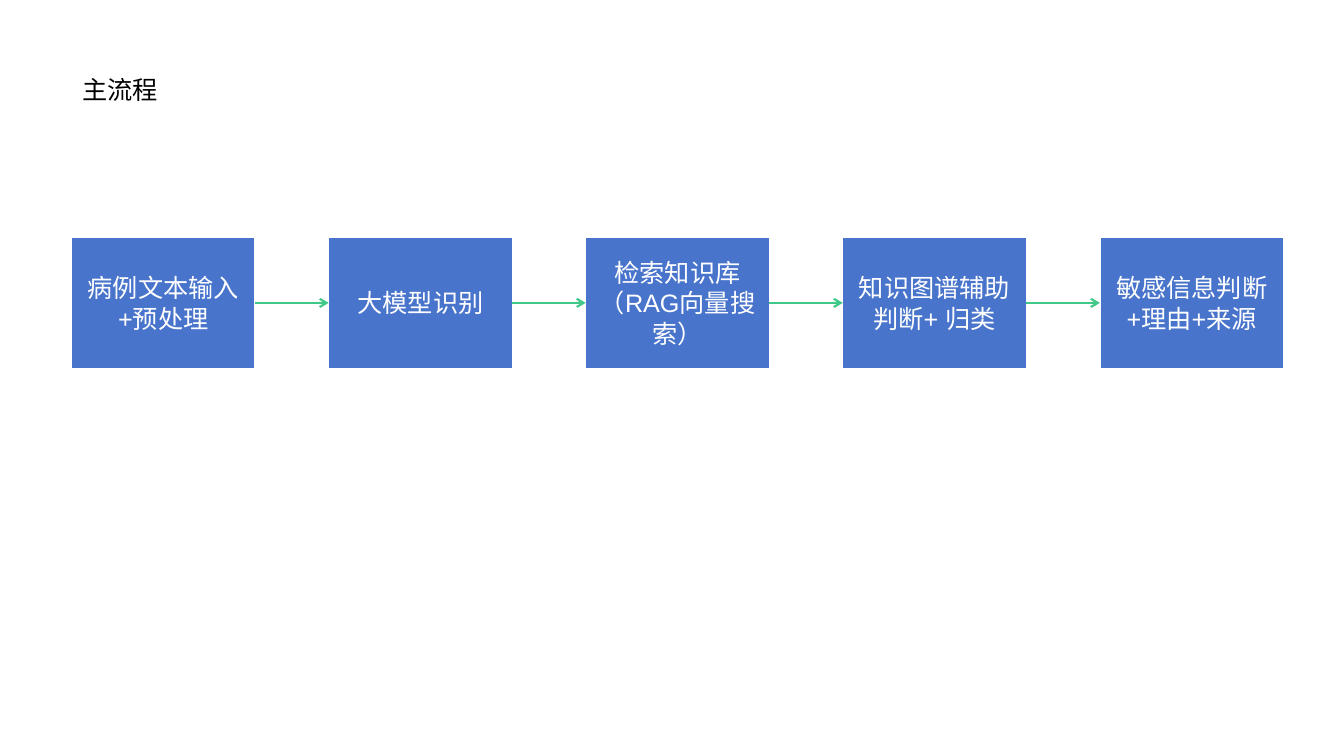
from dataclasses import dataclass

from lxml.etree import SubElement
from pptx import Presentation
from pptx.dml.color import RGBColor
from pptx.enum.shapes import MSO_CONNECTOR as Connector, MSO_SHAPE as Shape
from pptx.enum.text import MSO_ANCHOR as Anchor, MSO_AUTO_SIZE as AutoSize, PP_ALIGN as Align
from pptx.oxml.ns import qn
from pptx.util import Inches, Pt


@dataclass(frozen=True)
class Theme:
    font: str = "Arial"
    size: float = 18
    step: RGBColor = RGBColor(0x48, 0x74, 0xCB)
    arrow: RGBColor = RGBColor(0x40, 0xC8, 0x88)
    light: RGBColor = RGBColor(0xFF, 0xFF, 0xFF)
    dark: RGBColor = RGBColor(0, 0, 0)
    border: float = 1
    arrow_width: float = 1.5


THEME = Theme()
SLIDE_WIDTH, SLIDE_HEIGHT = 13.33, 7.5
STEPS = [
    "病例文本输入+预处理",
    "大模型识别",
    "检索知识库（RAG向量搜索）",
    "知识图谱辅助判断+ 归类",
    "敏感信息判断+理由+来源",
]
GAP_PER_STEP = 0.4


def write(paragraph, words, color):
    run = paragraph.add_run()
    run.text = words
    run.font.name = THEME.font
    run.font.size = Pt(THEME.size)
    run.font.color.rgb = color


def add_heading(slide, box, words):
    heading = slide.shapes.add_textbox(*map(Inches, box)).text_frame
    heading.word_wrap = True
    heading.auto_size = AutoSize.SHAPE_TO_FIT_TEXT
    write(heading.paragraphs[0], words, THEME.dark)


def add_step(slide, box, words):
    step = slide.shapes.add_shape(Shape.RECTANGLE, *map(Inches, box))
    step.shadow.inherit = False
    step.fill.solid()
    step.fill.fore_color.rgb = THEME.step
    step.line.color.rgb = THEME.light
    step.line.width = Pt(THEME.border)
    label = step.text_frame
    label.word_wrap = True
    label.vertical_anchor = Anchor.MIDDLE
    label.paragraphs[0].alignment = Align.CENTER
    write(label.paragraphs[0], words, THEME.light)
    return step


def add_arrow(slide, source, target):
    arrow = slide.shapes.add_connector(Connector.STRAIGHT, 0, 0, 0, 0)
    arrow.begin_connect(source, 3)
    arrow.end_connect(target, 1)
    arrow.line.color.rgb = THEME.arrow
    arrow.line.width = Pt(THEME.arrow_width)
    SubElement(arrow.line._get_or_add_ln(), qn("a:tailEnd"), type="arrow")
    SubElement(arrow._element.spPr, qn("a:effectLst"))


def add_flow(slide, box, names):
    left, top, width, height = box
    step_width = width / (len(names) + GAP_PER_STEP * (len(names) - 1))
    pitch = step_width * (1 + GAP_PER_STEP)
    steps = [
        add_step(slide, (left + column * pitch, top, step_width, height), name)
        for column, name in enumerate(names)
    ]
    for source, target in zip(steps, steps[1:]):
        add_arrow(slide, source, target)


def main():
    deck = Presentation()
    deck.slide_width = Inches(SLIDE_WIDTH)
    deck.slide_height = Inches(SLIDE_HEIGHT)
    slide = deck.slides.add_slide(deck.slide_layouts[6])
    add_heading(slide, (0.72, 0.69, 1.86, 0.4), "主流程")
    add_flow(slide, (0.71, 2.35, 12.02, 1.31), STEPS)
    deck.save("out.pptx")


if __name__ == "__main__":
    main()
